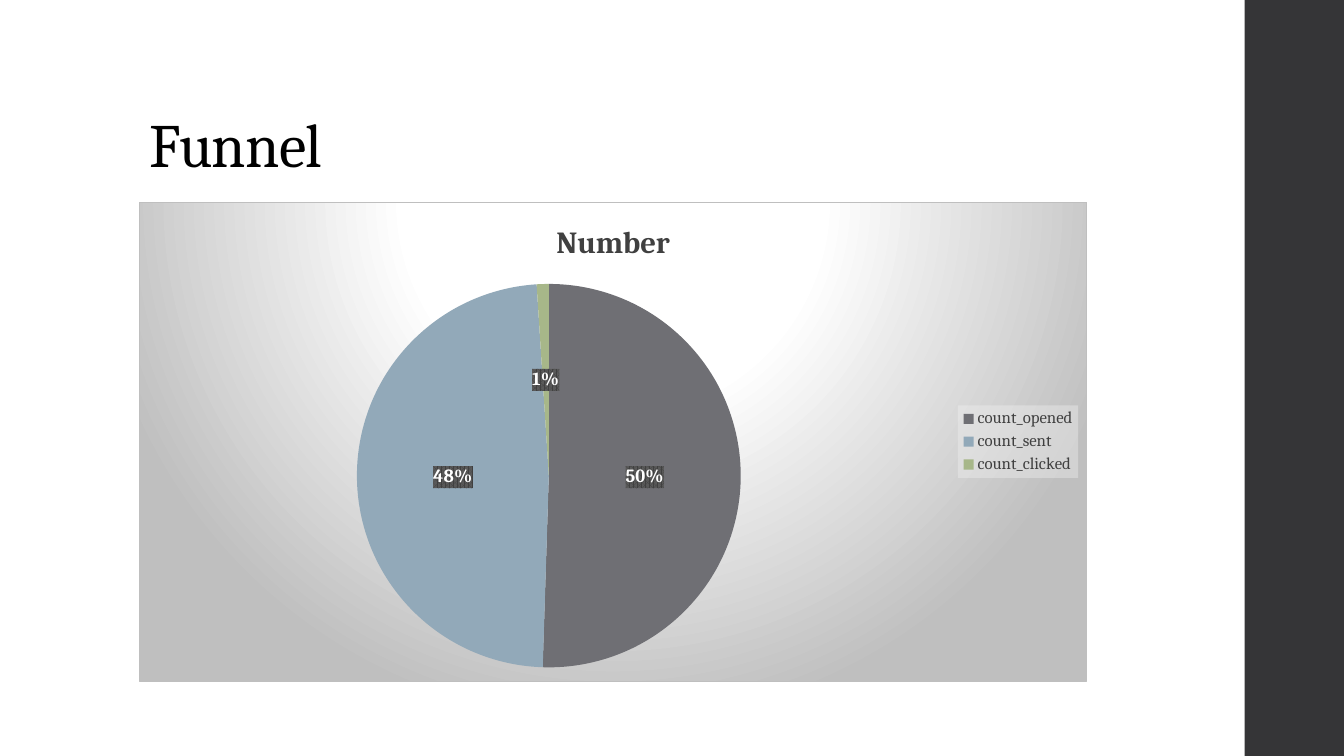
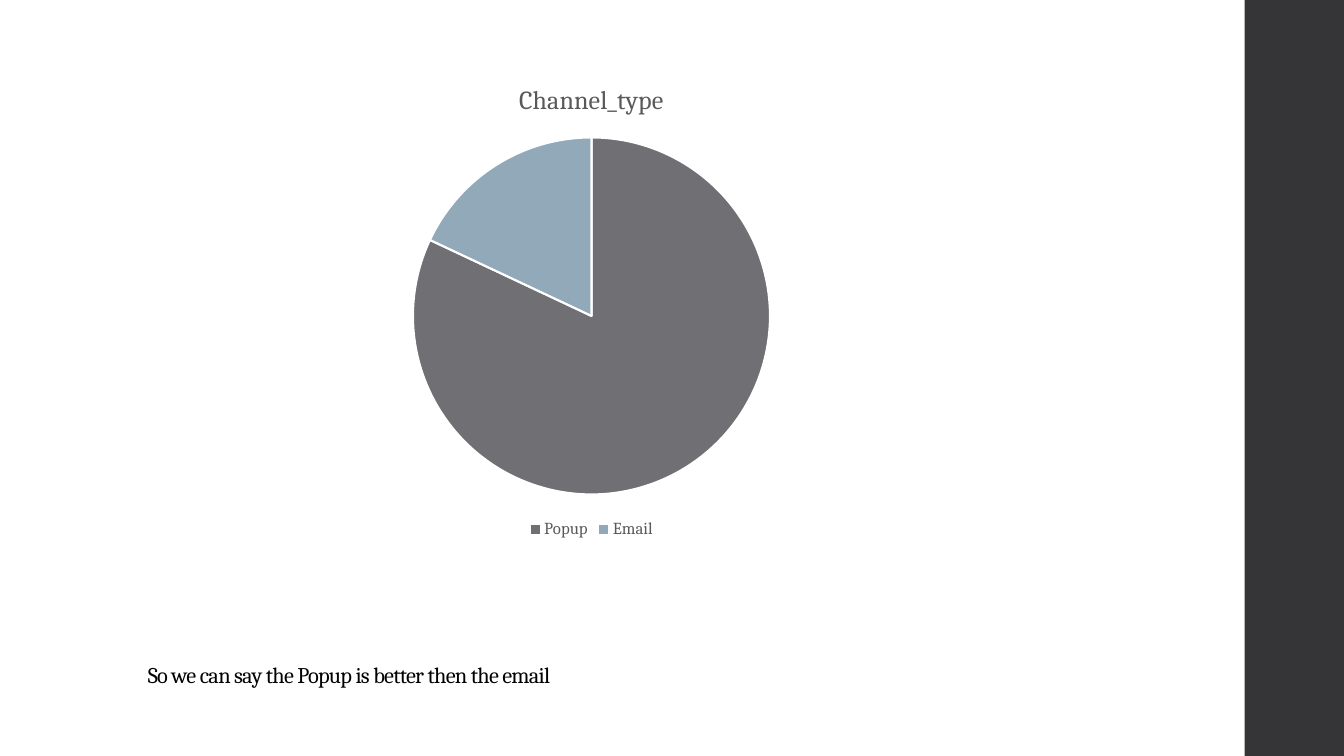
from lxml.etree import fromstring
from pptx import Presentation
from pptx.chart.data import CategoryChartData
from pptx.dml.color import RGBColor
from pptx.enum.chart import XL_CHART_TYPE, XL_LABEL_POSITION, XL_LEGEND_POSITION
from pptx.enum.shapes import MSO_SHAPE
from pptx.enum.text import MSO_ANCHOR, MSO_AUTO_SIZE, PP_ALIGN
from pptx.util import Pt

COLORS = {
    "band": "353537",
    "title": "000000",
    "dark": "404040",
    "gray": "595959",
    "white": "FFFFFF",
    "pale": "F2F2F2",
    "edge": "BFBFBF",
}
SLICES = ["6F6F74", "92A9B9", "A7B789"]
FONT = "Cambria"
SLIDE_WIDTH, SLIDE_HEIGHT = 960, 540
BAND_LEFT = 889
TITLE_WIDTH = 763
CHART_WIDTH, CHART_HEIGHT = 677, 343


def rgb(name):
    return RGBColor.from_string(COLORS[name])


def format_font(font, size, color, bold=False):
    font.name = FONT
    font.size = Pt(size)
    font.bold = bold
    font.color.rgb = rgb(color)


def write_text(text_frame, text, size, color, bold=False, spacing=None, line_spacing=None):
    """Write one run; spacing is the letter spacing in points."""
    paragraph = text_frame.paragraphs[0]
    run = paragraph.add_run()
    run.text = text
    format_font(run.font, size, color, bold)
    if spacing is not None:
        run.font._element.set("spc", str(round(spacing * 100)))
    if line_spacing is not None:
        paragraph.line_spacing = line_spacing
    return paragraph


def color_xml(name, alpha=100):
    return f'<a:srgbClr val="{COLORS[name]}"><a:alpha val="{alpha * 1000}"/></a:srgbClr>'


def chart_properties(content):
    """Return a c:spPr element, for chart parts without a format object."""
    return fromstring(
        '<c:spPr xmlns:c="http://schemas.openxmlformats.org/drawingml/2006/chart" '
        'xmlns:a="http://schemas.openxmlformats.org/drawingml/2006/main">'
        f"{content}</c:spPr>"
    )


class Deck:
    def __init__(self):
        self.presentation = Presentation()
        self.presentation.slide_width = Pt(SLIDE_WIDTH)
        self.presentation.slide_height = Pt(SLIDE_HEIGHT)
        self.slide = None

    def new_slide(self):
        self.slide = self.presentation.slides.add_slide(self.presentation.slide_layouts[5])
        band = self.slide.shapes.add_shape(
            MSO_SHAPE.RECTANGLE, Pt(BAND_LEFT), Pt(0), Pt(SLIDE_WIDTH - BAND_LEFT), Pt(SLIDE_HEIGHT)
        )
        band.shadow.inherit = False
        band.fill.solid()
        band.fill.fore_color.rgb = rgb("band")
        band.line.fill.background()

    def title(self, text, left, top, height, size):
        title = self.slide.shapes.title
        title.left, title.top = Pt(left), Pt(top)
        title.width, title.height = Pt(TITLE_WIDTH), Pt(height)
        frame = title.text_frame
        frame.word_wrap = True
        frame.auto_size = MSO_AUTO_SIZE.NONE
        frame.vertical_anchor = MSO_ANCHOR.BOTTOM
        paragraph = write_text(frame, text, size, "title", spacing=-0.5, line_spacing=0.9)
        paragraph.alignment = PP_ALIGN.LEFT

    def pie(self, name, shares, left, top, legend_position, color, title_size,
            title_bold=False, slice_border=None):
        data = CategoryChartData()
        data.categories = list(shares)
        data.add_series(name, list(shares.values()))
        chart = self.slide.shapes.add_chart(
            XL_CHART_TYPE.PIE, Pt(left), Pt(top), Pt(CHART_WIDTH), Pt(CHART_HEIGHT), data
        ).chart
        format_font(chart.font, 10, "title")
        chart.has_title = True
        chart.chart_title.include_in_layout = False
        write_text(chart.chart_title.text_frame, name, title_size, color, title_bold)
        chart.has_legend = True
        chart.legend.position = legend_position
        chart.legend.include_in_layout = False
        format_font(chart.legend.font, 12, color)
        plot = chart.plots[0]
        plot.vary_by_categories = True
        for index in range(len(shares)):
            point_format = plot.series[0].points[index].format
            point_format.fill.solid()
            point_format.fill.fore_color.rgb = RGBColor.from_string(SLICES[index])
            if slice_border:
                point_format.line.color.rgb = rgb("white")
                point_format.line.width = Pt(slice_border)
            else:
                point_format.line.fill.background()
        return chart

    def percent_labels(self, chart):
        labels = chart.plots[0].series[0].data_labels
        labels.show_value = True
        labels.number_format = '0"%"'
        labels.number_format_is_linked = False
        labels.position = XL_LABEL_POSITION.CENTER
        format_font(labels.font, 13.3, "white", bold=True)
        pattern = (
            f'<a:pattFill prst="pct75"><a:fgClr>{color_xml("dark")}</a:fgClr>'
            f'<a:bgClr>{color_xml("gray")}</a:bgClr></a:pattFill><a:ln><a:noFill/></a:ln>'
        )
        labels._element.find("{*}txPr").addprevious(chart_properties(pattern))

    def chart_backdrop(self, chart):
        """Give the chart a radial gradient and its legend a translucent panel."""
        stops = "".join(
            f'<a:gs pos="{position * 1000}">{color_xml(color)}</a:gs>'
            for position, color in ((0, "white"), (39, "white"), (100, "edge"))
        )
        backdrop = (
            f'<a:gradFill><a:gsLst>{stops}</a:gsLst><a:path path="circle">'
            '<a:fillToRect l="50000" t="-80000" r="50000" b="180000"/></a:path></a:gradFill>'
            f'<a:ln w="{Pt(0.75)}"><a:solidFill>{color_xml("edge")}</a:solidFill></a:ln>'
        )
        chart._chartSpace.find("{*}chart").addnext(chart_properties(backdrop))
        panel = f'<a:solidFill>{color_xml("pale", 39)}</a:solidFill><a:ln><a:noFill/></a:ln>'
        chart.legend._element.find("{*}txPr").addprevious(chart_properties(panel))


def main():
    deck = Deck()

    deck.new_slide()
    deck.title("Funnel", left=99.4, top=29, height=104, size=44)
    funnel = deck.pie(
        "Number", {"count_opened": 50, "count_sent": 48, "count_clicked": 1},
        left=99.4, top=144, legend_position=XL_LEGEND_POSITION.RIGHT,
        color="dark", title_size=22, title_bold=True,
    )
    deck.percent_labels(funnel)
    deck.chart_backdrop(funnel)

    deck.new_slide()
    deck.title("So we can say the Popup is better then the email", left=98.4, top=453, height=42.5, size=16)
    deck.pie(
        "Channel_type", {"Popup": 82, "Email": 18},
        left=84, top=44.6, legend_position=XL_LEGEND_POSITION.BOTTOM,
        color="gray", title_size=18.6, slice_border=1.5,
    )

    deck.presentation.save("out.pptx")


if __name__ == "__main__":
    main()
